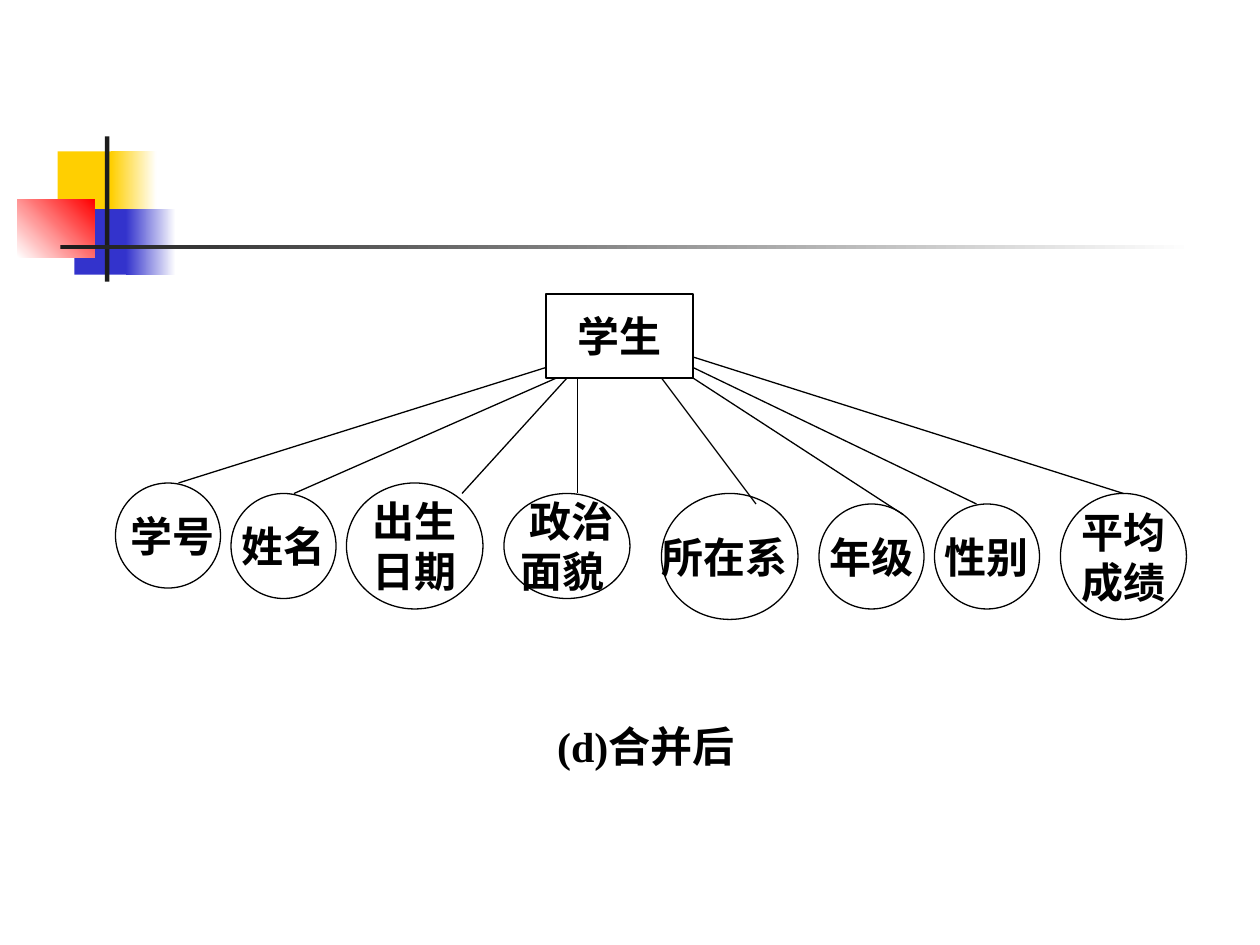
from typing import NamedTuple, Optional

import pptx
import pptx.dml.color
import pptx.enum.shapes
import pptx.enum.text
import pptx.util
from lxml import etree

Pt = pptx.util.Pt
RGB = pptx.dml.color.RGBColor
Kind = pptx.enum.shapes.MSO_SHAPE

BLACK = RGB(0, 0, 0)
WHITE = RGB(255, 255, 255)
GOLD = RGB(0xFF, 0xCF, 0x01)
BLUE = RGB(0x33, 0x33, 0xCC)
RED = RGB(255, 0, 0)
DARK = RGB(0x1C, 0x1C, 0x1C)
FONT = "Times New Roman"
MAIN_NS = "http://schemas.openxmlformats.org/drawingml/2006/main"


class Box(NamedTuple):
    left: float
    top: float
    width: float
    height: float


class Block(NamedTuple):
    box: Box
    start: RGB
    end: Optional[RGB] = None
    angle: float = 0


class Trait(NamedTuple):
    """An oval of the diagram and the line that ties it to the entity."""
    label: str
    box: Box
    root: tuple[float, float]
    tip: tuple[float, float]


BLOCKS = [
    Block(Box(33, 86.5, 34.5, 37.5), GOLD),
    Block(Box(63.5, 86.5, 26, 37.5), GOLD, WHITE),
    Block(Box(42.5, 119.5, 33, 37.5), BLUE),
    Block(Box(72, 119.5, 28.5, 37.5), BLUE, WHITE),
    Block(Box(10, 114, 44, 33), WHITE, RED, 45),
    Block(Box(60, 78, 2.5, 83), DARK),
    Block(Box(34.5, 140, 648, 2.5), DARK, WHITE),
]

TRAITS = [
    Trait(" 学号", Box(66, 276, 60, 60), (312, 210), (102, 276)),
    Trait("姓名", Box(132, 282, 60, 60), (318, 216), (168, 282)),
    Trait("出生\n日期", Box(198, 276, 78, 72), (324, 216), (264, 282)),
    Trait(" 政治\n面貌 ", Box(288, 282, 72, 60), (330, 216), (330, 282)),
    Trait("所在系 ", Box(378, 282, 78, 72), (378, 216), (432, 288)),
    Trait("年级", Box(468, 288, 60, 60), (396, 216), (516, 294)),
    Trait("性别", Box(534, 288, 60, 60), (396, 210), (558, 288)),
    Trait("平均\n成绩", Box(606, 282, 72, 72), (396, 204), (642, 282)),
]


def write(shape, text: str, *, size: float = 24, bold: bool = True,
          color: RGB = BLACK) -> None:
    """Set centred text, one paragraph for each line."""
    frame = shape.text_frame
    frame.word_wrap = False
    frame.vertical_anchor = pptx.enum.text.MSO_ANCHOR.MIDDLE
    frame.text = text
    for para in frame.paragraphs:
        para.alignment = pptx.enum.text.PP_ALIGN.CENTER
        font = para.runs[0].font
        font.name, font.size, font.bold = FONT, Pt(size), bold
        font.color.rgb = color


def place(slide, kind: Kind, box: Box):
    shape = slide.shapes.add_shape(kind, *map(Pt, box))
    shape.shadow.inherit = False
    return shape


def draw_block(slide, block: Block) -> None:
    shape = place(slide, Kind.RECTANGLE, block.box)
    shape.line.fill.background()
    fill = shape.fill
    if block.end is None:
        fill.solid()
        fill.fore_color.rgb = block.start
        return
    fill.gradient()
    fill.gradient_angle = block.angle
    for stop, color, spot in zip(fill.gradient_stops, (block.start, block.end), (0, 1)):
        stop.color.rgb = color
        stop.position = spot


def draw_node(slide, kind: Kind, box: Box, label: str) -> None:
    shape = place(slide, kind, box)
    shape.fill.background()
    shape.line.color.rgb = BLACK
    shape.line.width = Pt(0.75)
    write(shape, label)


def draw_link(slide, root: tuple[float, float], tip: tuple[float, float]) -> None:
    link = slide.shapes.add_connector(
        pptx.enum.shapes.MSO_CONNECTOR.STRAIGHT, *map(Pt, root + tip))
    link.line.color.rgb = BLACK
    link.line.width = Pt(0.75)
    etree.SubElement(link.element.spPr, f"{{{MAIN_NS}}}effectLst")


def main() -> None:
    deck = pptx.Presentation()
    deck.slide_width, deck.slide_height = Pt(720), Pt(540)
    slide = deck.slides.add_slide(deck.slide_layouts[6])

    for block in BLOCKS:
        draw_block(slide, block)
    draw_node(slide, Kind.RECTANGLE, Box(312, 168, 84, 48), "学生")
    for trait in TRAITS:
        draw_node(slide, Kind.OVAL, trait.box, trait.label)
        draw_link(slide, trait.root, trait.tip)
    title = slide.shapes.add_textbox(*map(Pt, Box(252, 402, 234, 48)))
    write(title, "(d)合并后")

    deck.save("out.pptx")


if __name__ == "__main__":
    main()
